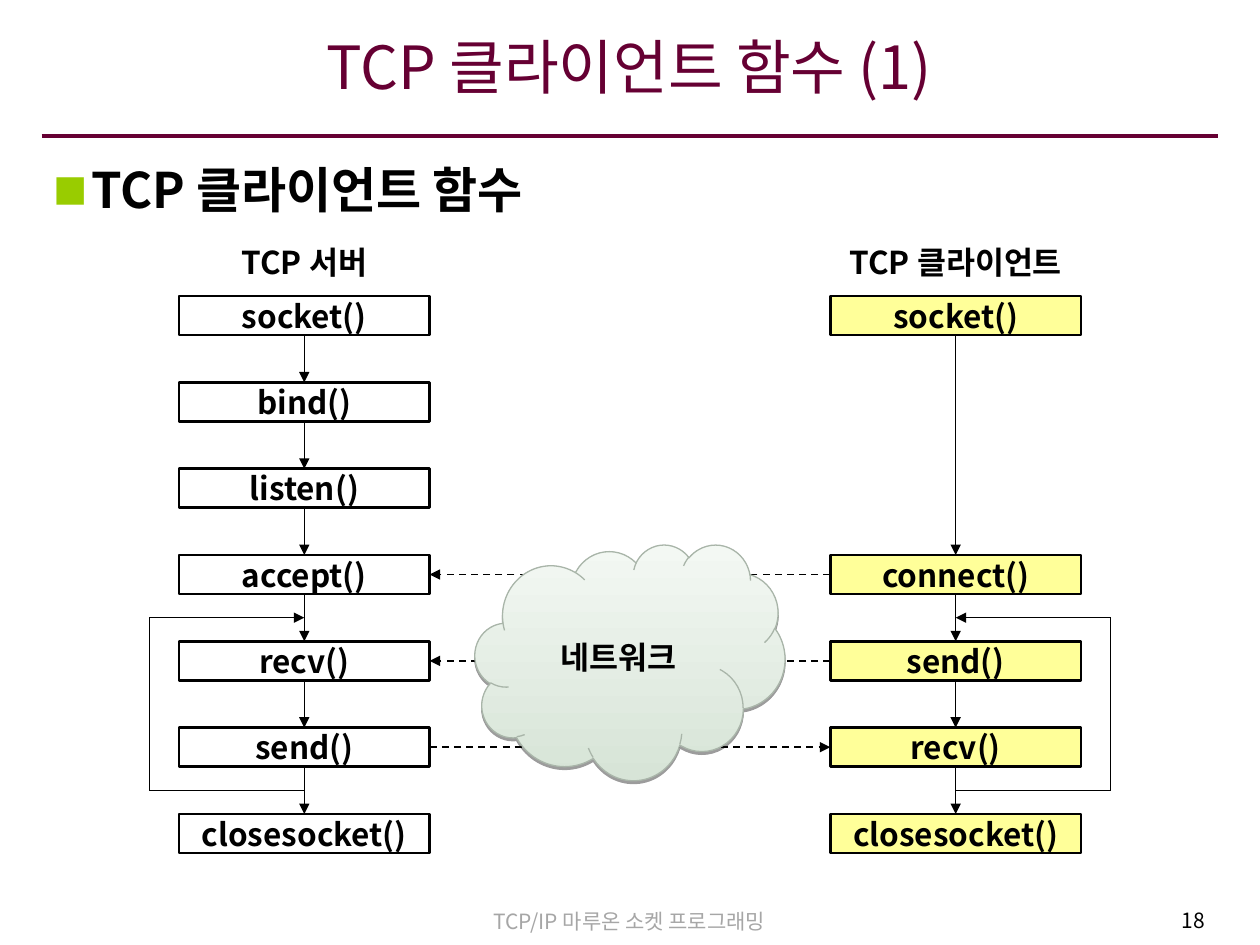
import pptx
import pptx.util
import pptx.dml.color
import pptx.enum.dml
import pptx.enum.shapes
import pptx.enum.text
import pptx.oxml
import pptx.oxml.ns
from dataclasses import dataclass
from itertools import pairwise

# Content: each function with its row in the flow grid
TITLE = "TCP 클라이언트 함수 (1)"
HEADING = "TCP 클라이언트 함수"
FOOTER, PAGE = "TCP/IP 마루온 소켓 프로그래밍", "18"
NETWORK = "네트워크"
SERVER = ("TCP 서버", ["socket()", "bind()", "listen()", "accept()",
                     "recv()", "send()", "closesocket()"], range(7))
CLIENT = ("TCP 클라이언트", ["socket()", "connect()", "send()", "recv()",
                        "closesocket()"], (0, 3, 4, 5, 6))
REQUEST_ROWS, REPLY_ROWS = (3, 4), (5,)
LOOP_ROWS = (3, 5)  # the loop joins the flow below these rows


@dataclass(frozen=True)
class Theme:
    font: str = "Noto Sans CJK KR"
    network_font: str = "Arial"
    accent: str = "660033"
    ink: str = "000000"
    muted: str = "A6A6A6"
    bullet: str = "99CC00"
    client_fill: str = "FFFF99"
    cloud_low: str = "D7E4D7"
    cloud_high: str = "F3F8F3"
    cloud_line: str = "A9B5A9"
    title: int = 34
    heading: int = 28
    label: int = 18
    small: int = 12


THEME = Theme()

# Grid, in inches
WIDTH, HEIGHT, MARGIN = 10, 7.5, 0.33
BOX_W, BOX_H = 1.99, 0.31
ROW_TOP, ROW_PITCH = 2.35, 0.685
SERVER_LEFT = 1.42
CLIENT_LEFT = WIDTH - SERVER_LEFT - BOX_W
LOOP_OUT = 1.23  # from a column's centre to its loop

SHAPE = pptx.enum.shapes.MSO_SHAPE
ALIGN = pptx.enum.text.PP_ALIGN
ANCHOR = pptx.enum.text.MSO_ANCHOR
inch = pptx.util.Inches
rgb = pptx.dml.color.RGBColor.from_string
qn = pptx.oxml.ns.qn

deck = pptx.Presentation()
deck.slide_width, deck.slide_height = inch(WIDTH), inch(HEIGHT)
slide = deck.slides.add_slide(deck.slide_layouts[5])


def xml(markup):
    head, rest = markup.split(" ", 1)
    return pptx.oxml.parse_xml(f"{head} {pptx.oxml.ns.nsdecls('a')} {rest}")


def write(holder, text, size=THEME.label, color=THEME.ink, bold=False, font=THEME.font,
          align=ALIGN.CENTER, anchor=ANCHOR.MIDDLE, wrap=True, insets=(0.1, 0.05, 0.1, 0.05)):
    frame = holder.text_frame
    frame.auto_size = pptx.enum.text.MSO_AUTO_SIZE.NONE
    frame.word_wrap, frame.vertical_anchor = wrap, anchor
    (frame.margin_left, frame.margin_top,
     frame.margin_right, frame.margin_bottom) = map(inch, insets)
    paragraph = frame.paragraphs[0]
    paragraph.alignment = align
    run = paragraph.add_run()
    run.text = text
    run.font.size, run.font.bold, run.font.name = pptx.util.Pt(size), bold, font
    run.font.color.rgb = rgb(color)
    # Korean glyphs take the East Asian typeface
    run.font._element.find(qn("a:latin")).addnext(xml(f'<a:ea typeface="{font}"/>'))
    return paragraph


def text_box(left, top, width, height, text, **text_format):
    box = slide.shapes.add_textbox(*map(inch, (left, top, width, height)))
    return write(box, text, **text_format)


def line(start, end, width=0.75, color=THEME.ink, arrow=False, dashed=False):
    link = slide.shapes.add_connector(pptx.enum.shapes.MSO_CONNECTOR.STRAIGHT,
                                      *map(inch, (*start, *end)))
    link.line.width, link.line.color.rgb = pptx.util.Pt(width), rgb(color)
    if dashed:
        link.line.dash_style = pptx.enum.dml.MSO_LINE.DASH
    if arrow:
        link.line._get_or_add_ln().append(xml('<a:tailEnd type="triangle"/>'))
    link._element.spPr.append(xml("<a:effectLst />"))


def row_top(row):
    return ROW_TOP + row * ROW_PITCH


def below(row):
    """Middle of the gap under a row."""
    return (row_top(row) + BOX_H + row_top(row + 1)) / 2


def column(left, flow, fill, loop_side):
    label, steps, rows = flow
    centre = left + BOX_W / 2
    text_box(left, 1.92, BOX_W, BOX_H, label, bold=True, wrap=False)
    for step, row in zip(steps, rows):
        box = slide.shapes.add_shape(SHAPE.RECTANGLE, *map(inch, (left, row_top(row), BOX_W, BOX_H)))
        box.shadow.inherit = False
        if fill:
            box.fill.solid()
            box.fill.fore_color.rgb = rgb(fill)
        else:
            box.fill.background()
        box.line.width, box.line.color.rgb = pptx.util.Pt(1.5), rgb(THEME.ink)
        write(box, step, bold=True, wrap=False)
    for upper, lower in pairwise(rows):
        line((centre, row_top(upper) + BOX_H), (centre, row_top(lower)), arrow=True)
    # Loop from the last exchange back to the first
    back, out = map(below, LOOP_ROWS), centre + loop_side * LOOP_OUT
    top, bottom = back
    corners = [(centre, bottom), (out, bottom), (out, top), (centre, top)]
    for start, end in pairwise(corners):
        line(start, end, arrow=end == corners[-1])


# Title, rule and heading
title = slide.shapes.title
title.left, title.top, title.width, title.height = map(inch, (MARGIN, 0.15, 9.33, 0.85))
write(title, TITLE, size=THEME.title, color=THEME.accent, insets=(0.08, 0.05, 0.08, 0.16))
line((MARGIN, 1.08), (WIDTH - MARGIN, 1.08), width=2.25, color=THEME.accent)

heading = text_box(MARGIN, 1.22, 9.33, 5.86, HEADING, size=THEME.heading, bold=True,
                   align=ALIGN.LEFT, anchor=ANCHOR.TOP)
heading.space_before = pptx.util.Pt(7)
bullet = heading._p.get_or_add_pPr()
bullet.set("marL", str(inch(0.3)))
bullet.set("indent", str(inch(-0.3)))
for part in (f'<a:buClr ><a:srgbClr val="{THEME.bullet}"/></a:buClr>',
             '<a:buSzPct val="70000"/>', f'<a:buFont typeface="{THEME.font}"/>',
             '<a:buChar char="■"/>'):
    bullet.append(xml(part))

# Server and client flows
column(SERVER_LEFT, SERVER, None, -1)
column(CLIENT_LEFT, CLIENT, THEME.client_fill, 1)

# Messages over the network
for row in (*REQUEST_ROWS, *REPLY_ROWS):
    y = row_top(row) + BOX_H / 2
    ends = [(SERVER_LEFT + BOX_W, y), (CLIENT_LEFT, y)]
    line(*(ends if row in REPLY_ROWS else reversed(ends)), width=1, arrow=True, dashed=True)

# Network cloud
cloud = slide.shapes.add_shape(SHAPE.CLOUD, *map(inch, (3.77, 4.32, 2.46, 1.87)))
cloud.fill.gradient()
cloud.fill.gradient_angle = 90
for stop, position, color in zip(cloud.fill.gradient_stops, (0, 1),
                                 (THEME.cloud_low, THEME.cloud_high)):
    stop.position, stop.color.rgb = position, rgb(color)
cloud.line.width, cloud.line.color.rgb = pptx.util.Pt(0.75), rgb(THEME.cloud_line)
cloud._element.spPr.append(xml(
    f'<a:effectLst ><a:outerShdw blurRad="0" dist="{pptx.util.Pt(1.6)}" dir="5400000" rotWithShape="0">'
    f'<a:srgbClr val="{THEME.ink}"><a:alpha val="38000"/></a:srgbClr></a:outerShdw></a:effectLst>'))
write(cloud, NETWORK, bold=True, font=THEME.network_font, wrap=False)

# Footer
text_box(2.87, 7.16, 4.25, 0.3, FOOTER, size=THEME.small, color=THEME.muted, anchor=ANCHOR.TOP)
text_box(7.54, 7.15, 2.12, 0.33, PAGE, size=THEME.small, align=ALIGN.RIGHT, anchor=ANCHOR.TOP)

deck.save("out.pptx")
